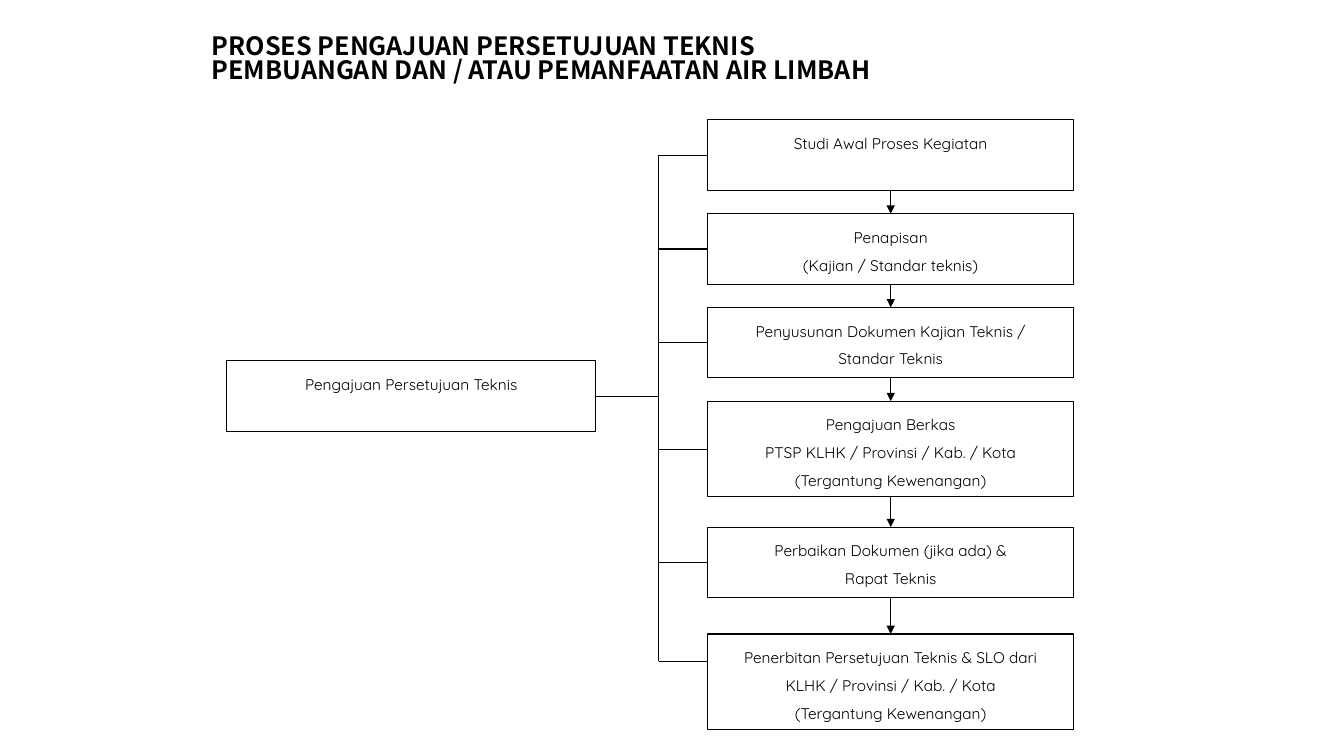
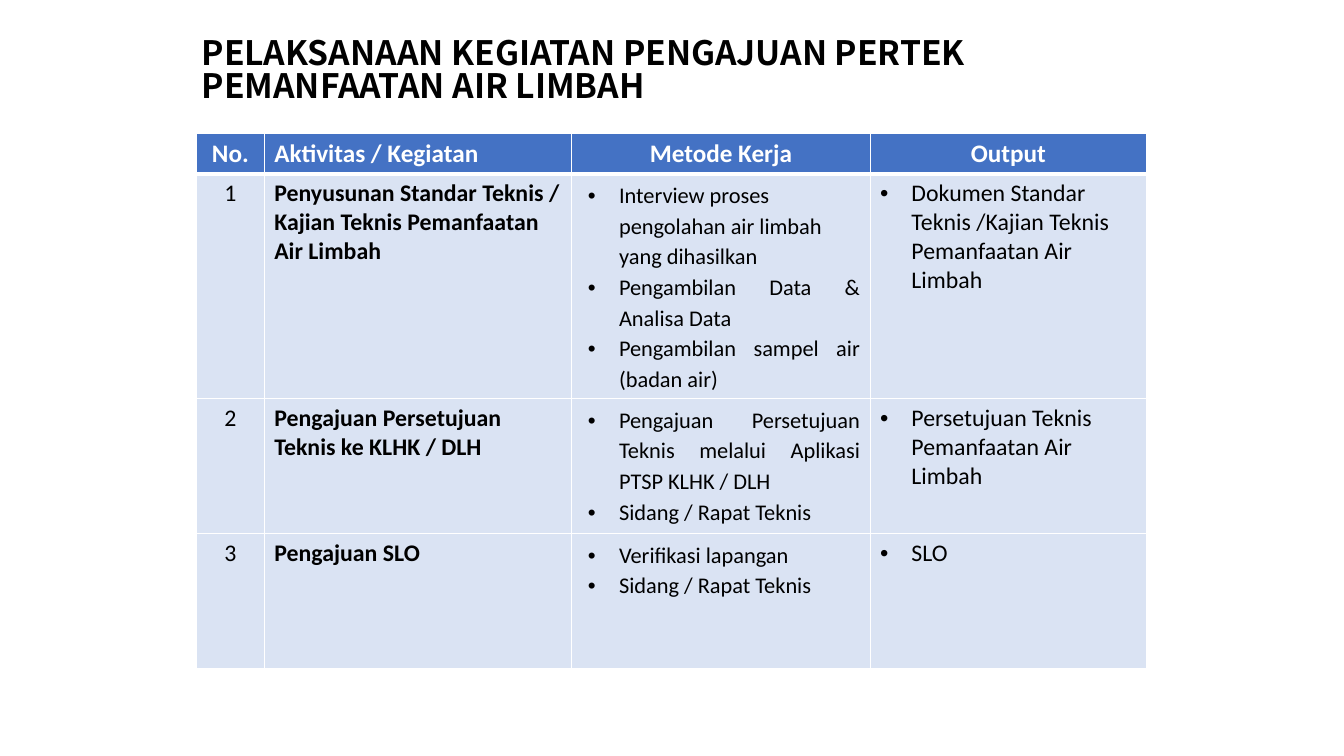
from lxml import etree
from pptx import Presentation
from pptx.dml.color import RGBColor
from pptx.enum.shapes import MSO_CONNECTOR as Connector, MSO_SHAPE as Preset
from pptx.enum.text import MSO_ANCHOR as Anchor, MSO_AUTO_SIZE as AutoSize, PP_ALIGN as Align
from pptx.oxml.ns import qn
from pptx.util import Emu, Inches, Pt

BLACK = RGBColor(0x00, 0x00, 0x00)
WHITE = RGBColor(0xFF, 0xFF, 0xFF)
HEADER_BLUE = RGBColor(0x44, 0x72, 0xC4)
PALE_BLUE = RGBColor(0xDA, 0xE3, 0xF3)

# Slide grid: 100 columns by 100 rows
SLIDE_WIDTH, SLIDE_HEIGHT = Inches(13.33), Inches(7.5)
TITLE_ONLY = 5
TOP, LEFT, BOTTOM, RIGHT = range(4)

# Text styles: "font" and "paragraph" hold attributes, "indent" adds a bullet
TITLE_FONT = {"name": "Noto Sans CJK SC", "bold": True}
TITLE_PARAGRAPH = {"alignment": Align.LEFT, "line_spacing": 0.82}
BOX_STYLE = {
    "font": {"name": "Quicksand", "size": Pt(11)},
    "paragraph": {"alignment": Align.CENTER, "line_spacing": 1.5},
}
HEADER_FONT = {"name": "Calibri", "size": Pt(18), "bold": True}
BODY_FONT = {"name": "Calibri", "size": Pt(17), "bold": False}
HEADER_ALIGNMENTS = [Align.CENTER, Align.LEFT, Align.CENTER, Align.CENTER]
COLUMN_STYLES = [
    {"font": BODY_FONT, "paragraph": {"alignment": Align.CENTER}},
    {"font": {**BODY_FONT, "bold": True}, "paragraph": {"alignment": Align.LEFT}},
    {"font": {**BODY_FONT, "size": Pt(16)}, "indent": 0.37,
     "paragraph": {"alignment": Align.JUSTIFY, "line_spacing": 1.12}},
    {"font": BODY_FONT, "indent": 0.31, "paragraph": {"alignment": Align.LEFT}},
]

# Process steps: top row, height in rows, text lines
SHORT, TALL = 9.33, 12.67
FIRST_TOP, STEP_PITCH = 15.87, 12.4
STEPS = [
    (FIRST_TOP, SHORT, ["Studi Awal Proses Kegiatan"]),
    (FIRST_TOP + STEP_PITCH, SHORT, ["Penapisan", "(Kajian / Standar teknis)"]),
    (FIRST_TOP + 2 * STEP_PITCH, SHORT,
     ["Penyusunan Dokumen Kajian Teknis /", "Standar Teknis"]),
    (FIRST_TOP + 3 * STEP_PITCH, TALL,
     ["Pengajuan Berkas", "PTSP KLHK / Provinsi / Kab. / Kota", "(Tergantung Kewenangan)"]),
    (69.73, SHORT, ["Perbaikan Dokumen (jika ada) &", "Rapat Teknis"]),
    (83.87, TALL,
     ["Penerbitan Persetujuan Teknis & SLO dari", "KLHK / Provinsi / Kab. / Kota",
      "(Tergantung Kewenangan)"]),
]
STEP_LEFT, STEP_WIDTH = 52.66, 27.23
TRUNK, LAST_BRANCH = 49, 87.47

# Activity table
TABLE_COLUMNS = [5.03, 22.88, 22.21, 20.56]
TABLE_ROWS = [5.2, 29.6, 17.87, 17.87]
HEADERS = ["No.", "Aktivitas / Kegiatan", "Metode Kerja", "Output"]
ACTIVITIES = [
    (["1"], ["Penyusunan Standar Teknis / Kajian Teknis Pemanfaatan Air Limbah"],
     ["Interview proses pengolahan air limbah yang dihasilkan",
      "Pengambilan Data & Analisa Data", "Pengambilan sampel air (badan air)"],
     ["Dokumen Standar Teknis /Kajian Teknis Pemanfaatan Air Limbah"]),
    (["2"], ["Pengajuan Persetujuan Teknis ke KLHK / DLH"],
     ["Pengajuan Persetujuan Teknis melalui Aplikasi PTSP KLHK / DLH", "Sidang / Rapat Teknis"],
     ["Persetujuan Teknis Pemanfaatan Air Limbah"]),
    (["3"], ["Pengajuan SLO"], ["Verifikasi lapangan", "Sidang / Rapat Teknis"], ["SLO"]),
]


def across(columns):
    return Emu(round(SLIDE_WIDTH * columns / 100))


def down(rows):
    return Emu(round(SLIDE_HEIGHT * rows / 100))


def area(left, top, width, height):
    return across(left), down(top), across(width), down(height)


def set_format(target, values):
    for name, value in values.items():
        setattr(target, name, value)


def add_bullet(paragraph, indent):
    properties = paragraph._p.get_or_add_pPr()
    properties.set("marL", str(Inches(indent)))
    properties.set("indent", str(-Inches(0.31)))
    etree.SubElement(properties, qn("a:buFont"), typeface="Arial")
    etree.SubElement(properties, qn("a:buChar"), char="•")


def write_lines(frame, lines, style, color=BLACK):
    """Fill a text frame with one paragraph for each line."""
    for index, line in enumerate(lines):
        paragraph = frame.add_paragraph() if index else frame.paragraphs[0]
        if "indent" in style:
            add_bullet(paragraph, style["indent"])
        set_format(paragraph, style["paragraph"])
        run = paragraph.add_run()
        run.text = line
        set_format(run.font, style["font"])
        run.font.color.rgb = color


def add_titled_slide(presentation, lines, size, place):
    slide = presentation.slides.add_slide(presentation.slide_layouts[TITLE_ONLY])
    title = slide.shapes.title
    set_format(title, dict(zip(("left", "top", "width", "height"), area(*place))))
    set_format(title.text_frame, {
        "word_wrap": True, "auto_size": AutoSize.NONE, "vertical_anchor": Anchor.TOP,
    })
    style = {"font": {**TITLE_FONT, "size": Pt(size)}, "paragraph": TITLE_PARAGRAPH}
    write_lines(title.text_frame, lines, style)
    return slide


def add_box(slide, place, lines):
    box = slide.shapes.add_shape(Preset.RECTANGLE, *area(*place))
    box.shadow.inherit = False
    box.fill.solid()
    box.fill.fore_color.rgb = WHITE
    box.line.color.rgb = BLACK
    box.line.width = Pt(0.75)
    set_format(box.text_frame, {"word_wrap": True, "vertical_anchor": Anchor.TOP})
    write_lines(box.text_frame, lines, BOX_STYLE)
    return box


def add_line(slide, start, end):
    line = slide.shapes.add_connector(Connector.STRAIGHT, *start, *end)
    line.line.color.rgb = BLACK
    line.line.width = Pt(0.75)
    etree.SubElement(line._element.spPr, qn("a:effectLst"))
    return line


def add_arrow(slide, upper, lower):
    center = upper.left + upper.width // 2
    arrow = add_line(slide, (center, upper.top + upper.height), (center, lower.top))
    arrow.begin_connect(upper, BOTTOM)
    arrow.end_connect(lower, TOP)
    etree.SubElement(arrow.line._get_or_add_ln(), qn("a:tailEnd"), type="triangle")


def middle(box):
    return box.top + box.height // 2


def format_cell(cell, color, bottom_width):
    """Draw white borders, then the fill."""
    properties = cell._tc.get_or_add_tcPr()
    for side, width in (("L", 1), ("R", 1), ("T", 1), ("B", bottom_width)):
        border = etree.SubElement(properties, qn(f"a:ln{side}"), w=str(Pt(width)))
        fill = etree.SubElement(border, qn("a:solidFill"))
        etree.SubElement(fill, qn("a:srgbClr"), val=str(WHITE))
    cell.fill.solid()
    cell.fill.fore_color.rgb = color


def add_process_slide(presentation):
    slide = add_titled_slide(
        presentation,
        ["PROSES PENGAJUAN PERSETUJUAN TEKNIS", "PEMBUANGAN DAN / ATAU PEMANFAATAN AIR LIMBAH"],
        18, (15, 4, 75.62, 9.47))

    # Boxes
    root = add_box(slide, (16.88, 47.73, 27.46, SHORT), ["Pengajuan Persetujuan Teknis"])
    boxes = [add_box(slide, (STEP_LEFT, top, STEP_WIDTH, height), lines)
             for top, height, lines in STEPS]

    # Trunk and branches; the last branch meets its box above the middle
    trunk, last = across(TRUNK), down(LAST_BRANCH)
    add_line(slide, (trunk, middle(boxes[0])), (trunk, last))
    stem = add_line(slide, (root.left + root.width, middle(root)), (trunk, middle(root)))
    stem.begin_connect(root, RIGHT)
    for box in boxes[:-1]:
        branch = add_line(slide, (trunk, middle(box)), (box.left, middle(box)))
        branch.end_connect(box, LEFT)
    add_line(slide, (trunk, last), (boxes[-1].left, last))

    # Arrows between steps
    for upper, lower in zip(boxes, boxes[1:]):
        add_arrow(slide, upper, lower)


def add_activity_slide(presentation):
    slide = add_titled_slide(
        presentation, ["PELAKSANAAN KEGIATAN PENGAJUAN PERTEK PEMANFAATAN AIR LIMBAH"],
        24, (14.25, 4.5, 61.59, 12.13))
    place = area(14.63, 17.6, sum(TABLE_COLUMNS), sum(TABLE_ROWS))
    table = slide.shapes.add_table(len(TABLE_ROWS), len(TABLE_COLUMNS), *place).table
    set_format(table, {"first_row": False, "horz_banding": False})
    for column, width in zip(table.columns, TABLE_COLUMNS):
        column.width = across(width)
    for row, height in zip(table.rows, TABLE_ROWS):
        row.height = down(height)

    # Header row
    for cell, text, alignment in zip(table.rows[0].cells, HEADERS, HEADER_ALIGNMENTS):
        format_cell(cell, HEADER_BLUE, 3)
        style = {"font": HEADER_FONT, "paragraph": {"alignment": alignment}}
        write_lines(cell.text_frame, [text], style, WHITE)

    # Body rows
    for row_index, activity in enumerate(ACTIVITIES, 1):
        for cell, lines, style in zip(table.rows[row_index].cells, activity, COLUMN_STYLES):
            format_cell(cell, PALE_BLUE, 1)
            write_lines(cell.text_frame, lines, style)
    table.cell(1, 2).text_frame.paragraphs[0].alignment = Align.LEFT


def main():
    presentation = Presentation()
    set_format(presentation, {"slide_width": SLIDE_WIDTH, "slide_height": SLIDE_HEIGHT})
    add_process_slide(presentation)
    add_activity_slide(presentation)
    presentation.save("out.pptx")


if __name__ == "__main__":
    main()
